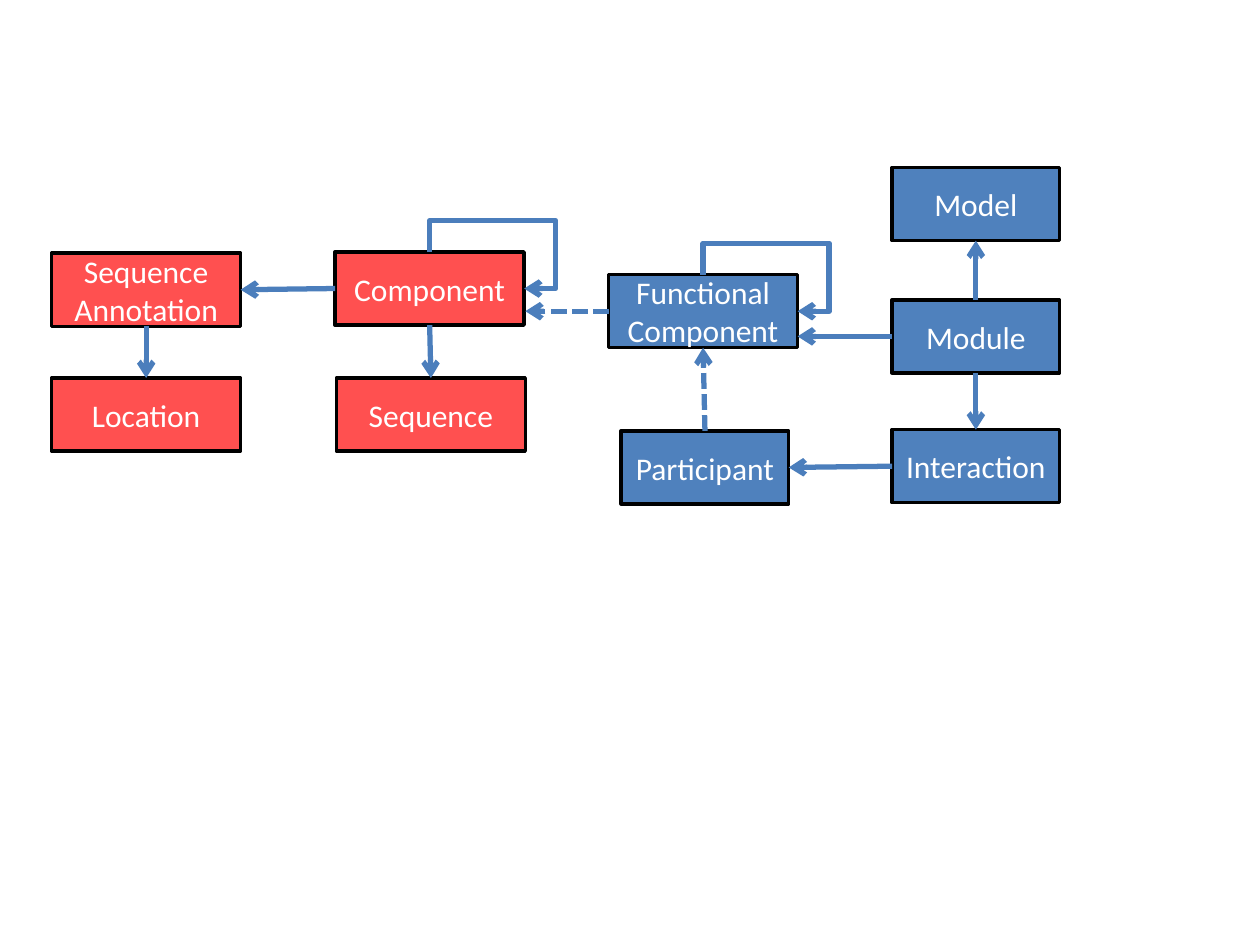
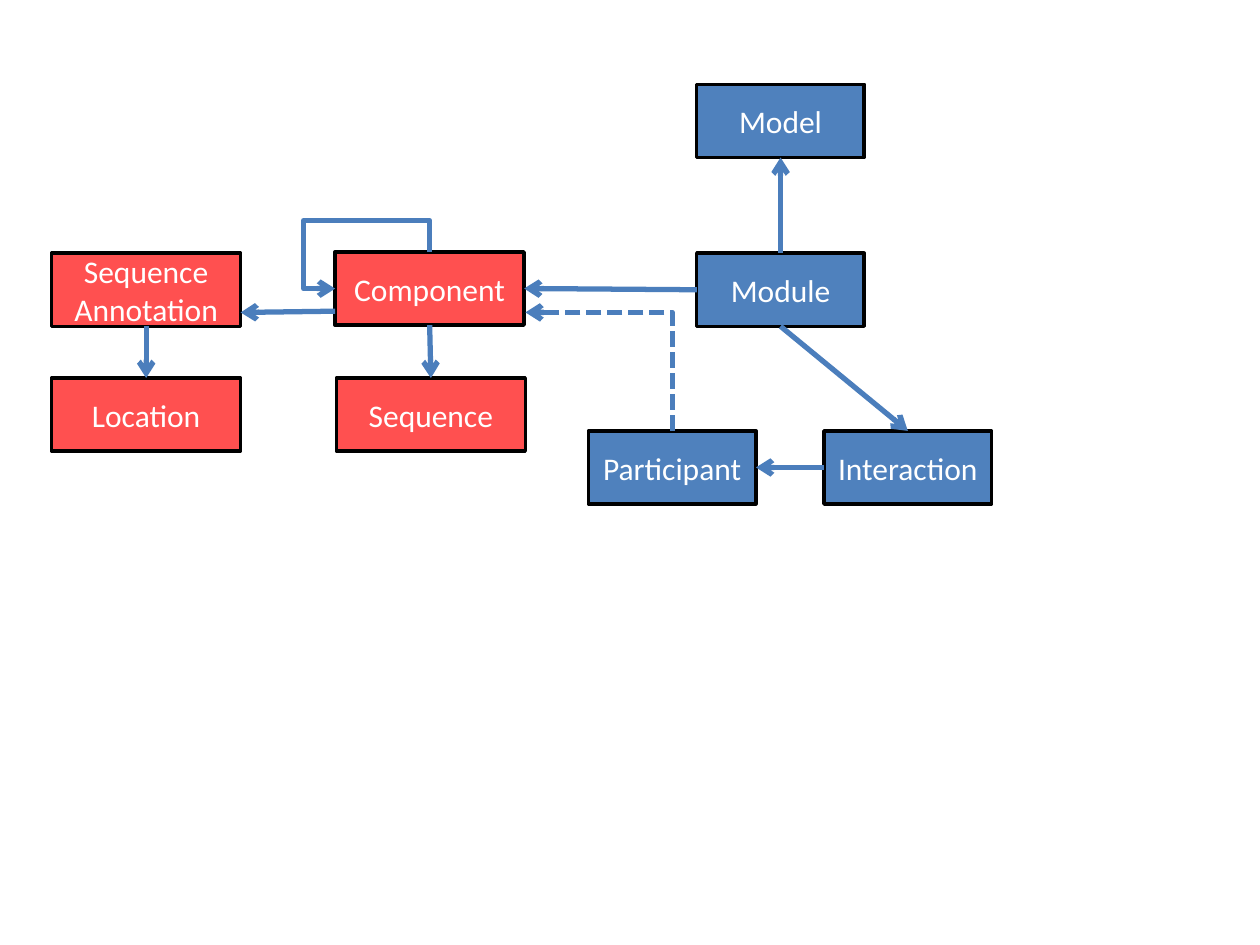
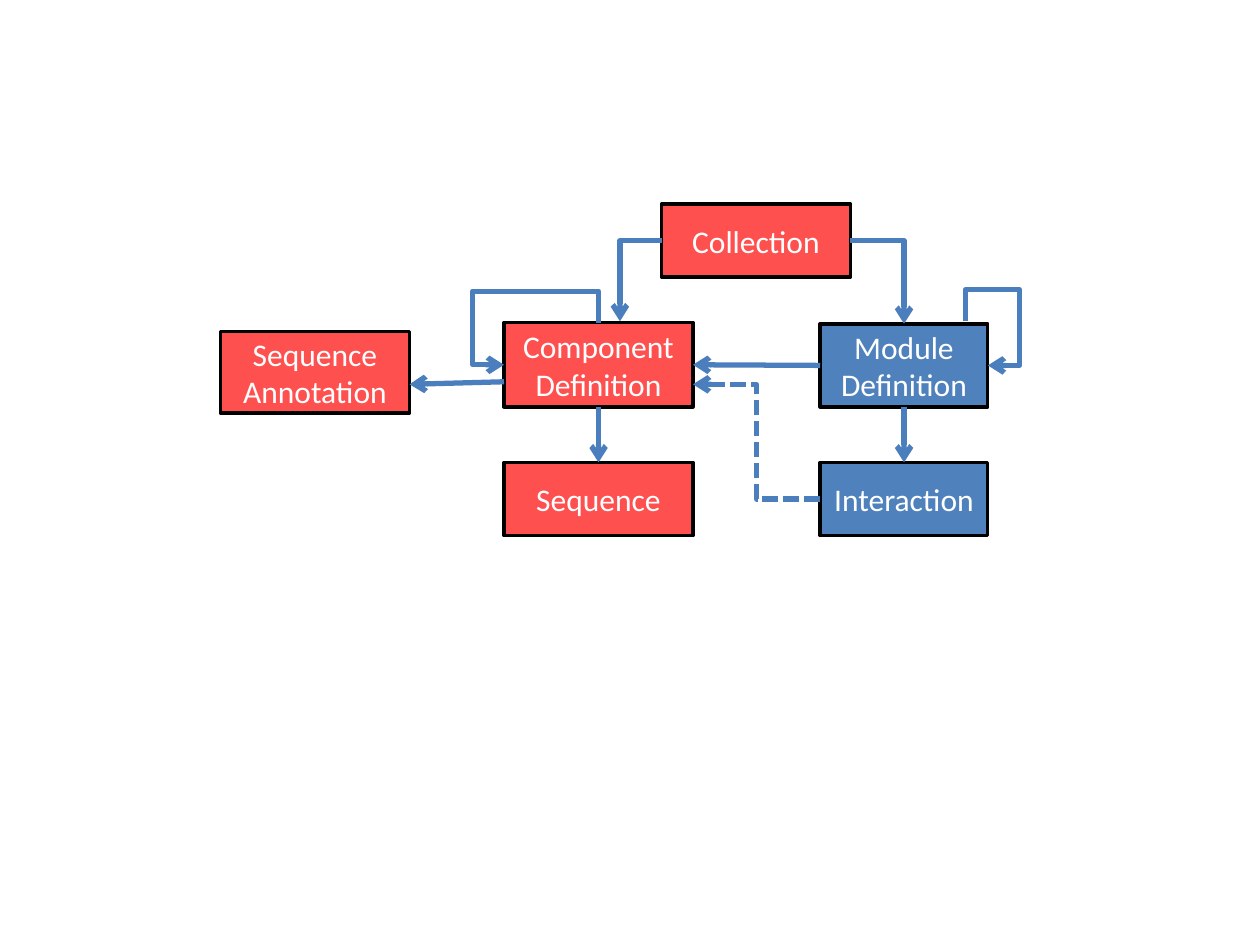
from lxml.etree import SubElement
from pptx import Presentation
from pptx.dml.color import RGBColor
from pptx.enum.dml import MSO_LINE
from pptx.enum.shapes import MSO_CONNECTOR, MSO_SHAPE
from pptx.enum.text import MSO_ANCHOR, PP_ALIGN
from pptx.oxml.ns import qn
from pptx.util import Inches, Pt

BLUE = RGBColor(0x4F, 0x81, 0xBD)
RED = RGBColor(0xFF, 0x50, 0x50)
ARROW_BLUE = RGBColor(0x4B, 0x7E, 0xBC)
BLACK = RGBColor(0, 0, 0)
WHITE = RGBColor(0xFF, 0xFF, 0xFF)

FONT = "Calibri"
BOX_WIDTH = {BLUE: 1.33, RED: 1.5}
BOX_HEIGHT = 0.58
LOOP_REACH = Inches(0.25)
SITES = {"top": 0, "left": 1, "bottom": 2, "right": 3}

# Elbow routes: preset, rotation in degrees, horizontal flip, vertical flip
ROUTES = {
    "loop right": ("bentConnector4", 270, 1, 0),
    "loop left": ("bentConnector4", 270, 1, 1),
    "up then left": ("bentConnector2", 270, 0, 1),
    "left then down": ("bentConnector2", 180, 0, 1),
    "right then down": ("bentConnector2", 0, 0, 0),
    "step left": ("bentConnector3", 180, 0, 0),
}


def add_box(slide, text, left, top, fill, width, height=BOX_HEIGHT, size=18, color=WHITE):
    shape = slide.shapes.add_shape(
        MSO_SHAPE.RECTANGLE, Inches(left), Inches(top), Inches(width), Inches(height))
    shape.shadow.inherit = False
    shape.fill.solid()
    shape.fill.fore_color.rgb = fill
    shape.line.color.rgb = BLACK
    shape.line.width = Pt(2)
    frame = shape.text_frame
    frame.word_wrap = True
    frame.vertical_anchor = MSO_ANCHOR.MIDDLE
    paragraph = frame.paragraphs[0]
    paragraph.text = text
    paragraph.alignment = PP_ALIGN.CENTER
    paragraph.font.name = FONT
    paragraph.font.size = Pt(size)
    paragraph.font.color.rgb = color
    return shape


def add_arrow(slide, boxes, start, end, route=None, dashed=False):
    """Each end is (box name, side) or an (x, y) point in inches."""
    kind = MSO_CONNECTOR.ELBOW if route else MSO_CONNECTOR.STRAIGHT
    points = [(0, 0) if place[0] in boxes else place for place in (start, end)]
    connector = slide.shapes.add_connector(
        kind, *[Inches(value) for point in points for value in point])
    for place, connect in ((start, connector.begin_connect), (end, connector.end_connect)):
        if place[0] in boxes:
            connect(boxes[place[0]], SITES[place[1]])

    connector.line.color.rgb = ARROW_BLUE
    connector.line.width = Pt(3)
    if dashed:
        connector.line.dash_style = MSO_LINE.SQUARE_DOT
    properties = connector._element.spPr
    SubElement(properties.find(qn("a:ln")), qn("a:tailEnd"), type="arrow")
    SubElement(properties, qn("a:effectLst"))

    if route:
        preset, rotation, flip_h, flip_v = ROUTES[route]
        left, top = connector.left, connector.top
        across, down = connector.width, connector.height
        if rotation == 270:
            # A quarter turn swaps the sides around the same centre
            connector.left = left + (across - down) // 2
            connector.top = top + (down - across) // 2
            connector.width, connector.height = down, across
        frame = properties.find(qn("a:xfrm"))
        frame.set("rot", str(rotation * 60000))
        frame.set("flipH", str(flip_h))
        frame.set("flipV", str(flip_v))
        geometry = properties.find(qn("a:prstGeom"))
        geometry.set("prst", preset)
        if preset == "bentConnector4":
            guides = geometry.find(qn("a:avLst"))
            reaches = (-LOOP_REACH / down, 1 + LOOP_REACH / across)
            for number, reach in enumerate(reaches, 1):
                SubElement(guides, qn("a:gd"), name=f"adj{number}",
                           fmla=f"val {round(reach * 100000)}")


# Boxes that the first two slides share
SEQUENCE_BOXES = [
    ("Sequence", 2.67, 3, RED),
    ("Sequence Annotation", 0.41, 2.01, RED),
    ("Component", 2.66, 2, RED),
    ("Location", 0.41, 3, RED),
]
SEQUENCE_ARROWS = [
    (("Component", "bottom"), ("Sequence", "top")),
    (("Sequence Annotation", "bottom"), ("Location", "top")),
]
MODULE_ARROWS = [
    (("Module", "top"), ("Model", "bottom")),
    (("Module", "bottom"), ("Interaction", "top")),
    (("Interaction", "left"), ("Participant", "right")),
]

# Boxes: text, left, top, fill, optional height or width
# Arrows: start, end, optional route, optional dash
SLIDES = [
    # Functional components between modules and components
    (
        SEQUENCE_BOXES + [
            ("Model", 7.08, 1.33, BLUE),
            ("Module", 7.08, 2.38, BLUE),
            ("Interaction", 7.08, 3.41, BLUE),
            ("Participant", 4.93, 3.42, BLUE),
            ("Functional Component", 4.83, 2.18, BLUE, {"width": 1.5}),
        ],
        SEQUENCE_ARROWS + MODULE_ARROWS + [
            (("Component", "left"), ("Sequence Annotation", "right")),
            (("Component", "top"), ("Component", "right"), "loop right"),
            (("Functional Component", "top"), ("Functional Component", "right"), "loop right"),
            (("Module", "left"), (6.33, 2.67)),
            (("Functional Component", "left"), (4.17, 2.47), None, True),
            (("Participant", "top"), ("Functional Component", "bottom"), None, True),
        ],
    ),
    # Modules and participants pointing straight at components
    (
        SEQUENCE_BOXES + [
            ("Model", 5.53, 0.67, BLUE),
            ("Module", 5.53, 2.01, BLUE),
            ("Interaction", 6.54, 3.42, BLUE),
            ("Participant", 4.67, 3.42, BLUE),
        ],
        SEQUENCE_ARROWS + MODULE_ARROWS + [
            ((2.66, 2.47), (1.91, 2.48)),
            (("Component", "top"), ("Component", "left"), "loop left"),
            (("Module", "left"), ("Component", "right")),
            (("Participant", "top"), (4.17, 2.48), "up then left", True),
        ],
    ),
    # Definitions grouped by a collection
    (
        [
            ("Module Definition", 6.51, 2.57, BLUE, {"height": 0.66}),
            ("Interaction", 6.51, 3.67, BLUE),
            ("Sequence", 4, 3.67, RED),
            ("Sequence Annotation", 1.75, 2.63, RED, {"height": 0.65}),
            ("Component Definition", 4, 2.56, RED, {"height": 0.67}),
            ("Collection", 5.25, 1.62, RED),
        ],
        [
            ((4, 3.03), (3.25, 3.05)),
            (("Component Definition", "bottom"), ("Sequence", "top")),
            (("Component Definition", "top"), ("Component Definition", "left"), "loop left"),
            (("Module Definition", "left"), ("Component Definition", "right")),
            (("Module Definition", "bottom"), ("Interaction", "top")),
            (("Interaction", "left"), (5.5, 3.05), "step left", True),
            ((7.66, 2.55), ("Module Definition", "right"), "loop right"),
            (("Collection", "left"), (4.92, 2.55), "left then down"),
            (("Collection", "right"), ("Module Definition", "top"), "right then down"),
        ],
    ),
]

presentation = Presentation()
presentation.slide_width = Inches(10)
presentation.slide_height = Inches(7.5)

for box_rows, arrow_rows in SLIDES:
    slide = presentation.slides.add_slide(presentation.slide_layouts[6])
    boxes = {}
    for text, left, top, fill, *extra in box_rows:
        box_format = {"width": BOX_WIDTH[fill]}
        for changes in extra:
            box_format.update(changes)
        boxes[text] = add_box(slide, text, left, top, fill, **box_format)
    for arrow_row in arrow_rows:
        add_arrow(slide, boxes, *arrow_row)

presentation.save("out.pptx")
